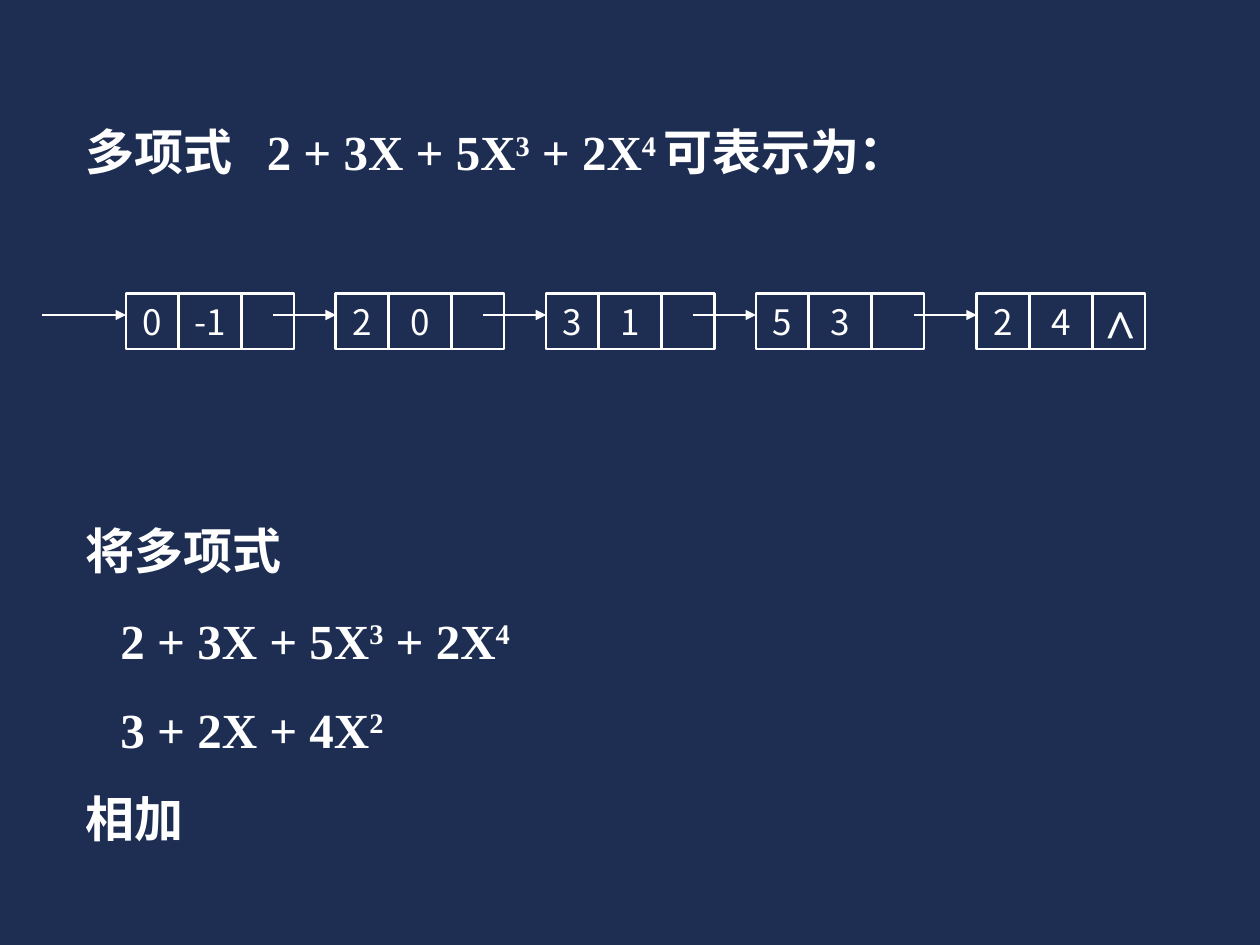
from dataclasses import dataclass
from lxml.etree import SubElement
from pptx import Presentation
from pptx.dml.color import RGBColor
from pptx.enum.shapes import MSO_CONNECTOR, MSO_SHAPE
from pptx.enum.text import MSO_ANCHOR, PP_ALIGN
from pptx.oxml.ns import qn
from pptx.util import Cm, Pt

COLORS = {"bg": "1E2E53", "ink": "FFFFFF"}
SERIF, SANS = "Times New Roman", "Noto Sans CJK JP"
COEF_W, EXP_W, NEXT_W = 1.06, 1.27, 1.06
ROW_TOP, ROW_H, ARROW_Y = 5.92, 1.12, 6.35


@dataclass
class Node:
    left: float
    coef: str
    exp: str


@dataclass
class Line:
    texts: list[str]
    indent: float = 0
    tab: float = 0


NODES = [
    Node(2.54, "0", "-1"),
    Node(6.77, "2", "0"),
    Node(11.01, "3", "1"),
    Node(15.24, "5", "3"),
    Node(19.69, "2", "4"),
]
TITLE = [Line(["多项式\t2 + 3X + 5X", "3", " + 2X", "4 ", "可表示为："], tab=3.65)]
TASK = [
    Line(["将多项式"]),
    Line(["2 + 3X + 5X", "3", " + 2X", "4"], indent=0.7),
    Line(["3 + 2X + 4X", "2"], indent=0.7),
    Line(["相加"]),
]


def color(name: str) -> RGBColor:
    return RGBColor.from_string(COLORS[name])


def write(tf, lines: list[Line], *, size: float, font: str = SERIF, bold: bool = True,
          align=PP_ALIGN.LEFT, anchor=MSO_ANCHOR.TOP, before: float = 0) -> None:
    tf.word_wrap = True
    tf.vertical_anchor = anchor
    for i, line in enumerate(lines):
        p = tf.add_paragraph() if i else tf.paragraphs[0]
        p.alignment = align
        if i:
            p.space_before = Pt(before)
        pPr = p._p.get_or_add_pPr()
        if line.indent:
            pPr.set("marL", str(Cm(line.indent)))
            pPr.set("indent", "0")
        if line.tab:
            tabs = SubElement(pPr, qn("a:tabLst"))
            SubElement(tabs, qn("a:tab"), pos=str(Cm(line.tab)), algn="l")
        for j, text in enumerate(line.texts):
            r = p.add_run()
            r.text = text
            r.font.size, r.font.name, r.font.bold = Pt(size), font, bold
            r.font.color.rgb = color("ink")
            if j % 2:
                r._r.get_or_add_rPr().set("baseline", "30000")


def add_text(s, left: float, top: float, width: float, height: float,
             lines: list[Line], **fmt) -> None:
    tb = s.shapes.add_textbox(Cm(left), Cm(top), Cm(width), Cm(height))
    write(tb.text_frame, lines, **fmt)


def add_cell(s, left: float, width: float, text: str = "") -> None:
    sp = s.shapes.add_shape(MSO_SHAPE.RECTANGLE, Cm(left), Cm(ROW_TOP), Cm(width), Cm(ROW_H))
    sp.shadow.inherit = False
    sp.fill.background()
    sp.line.color.rgb = color("ink")
    sp.line.width = Pt(1.5)
    if text:
        write(sp.text_frame, [Line([text])], size=20, font=SANS, bold=False,
              align=PP_ALIGN.CENTER, anchor=MSO_ANCHOR.MIDDLE)


def add_node(s, node: Node) -> None:
    add_cell(s, node.left, COEF_W, node.coef)
    add_cell(s, node.left + COEF_W, EXP_W, node.exp)
    add_cell(s, node.left + COEF_W + EXP_W, NEXT_W)


def add_arrow(s, x1: float, x2: float) -> None:
    cn = s.shapes.add_connector(MSO_CONNECTOR.STRAIGHT, Cm(x1), Cm(ARROW_Y), Cm(x2), Cm(ARROW_Y))
    cn.line.color.rgb = color("ink")
    cn.line.width = Pt(1.5)
    SubElement(cn.line._get_or_add_ln(), qn("a:tailEnd"), type="triangle")
    SubElement(cn._element.spPr, qn("a:effectLst"))


def main() -> None:
    prs = Presentation()
    prs.slide_width, prs.slide_height = Cm(25.4), Cm(19.05)
    s = prs.slides.add_slide(prs.slide_layouts[6])
    s.background.fill.solid()
    s.background.fill.fore_color.rgb = color("bg")

    add_text(s, 1.48, 2.33, 22.42, 1.45, TITLE, size=28)
    for node in NODES:
        add_node(s, node)
    for i, node in enumerate(NODES):
        add_arrow(s, node.left - 1.27 if i else 0.85, node.left)
    add_text(s, 1.48, 10.37, 22.42, 6.86, TASK, size=28, before=17.5)
    add_text(s, 22.01, 5.8, 1.27, 1.62, [Line(["^"])], size=32)
    prs.save("out.pptx")


if __name__ == "__main__":
    main()
